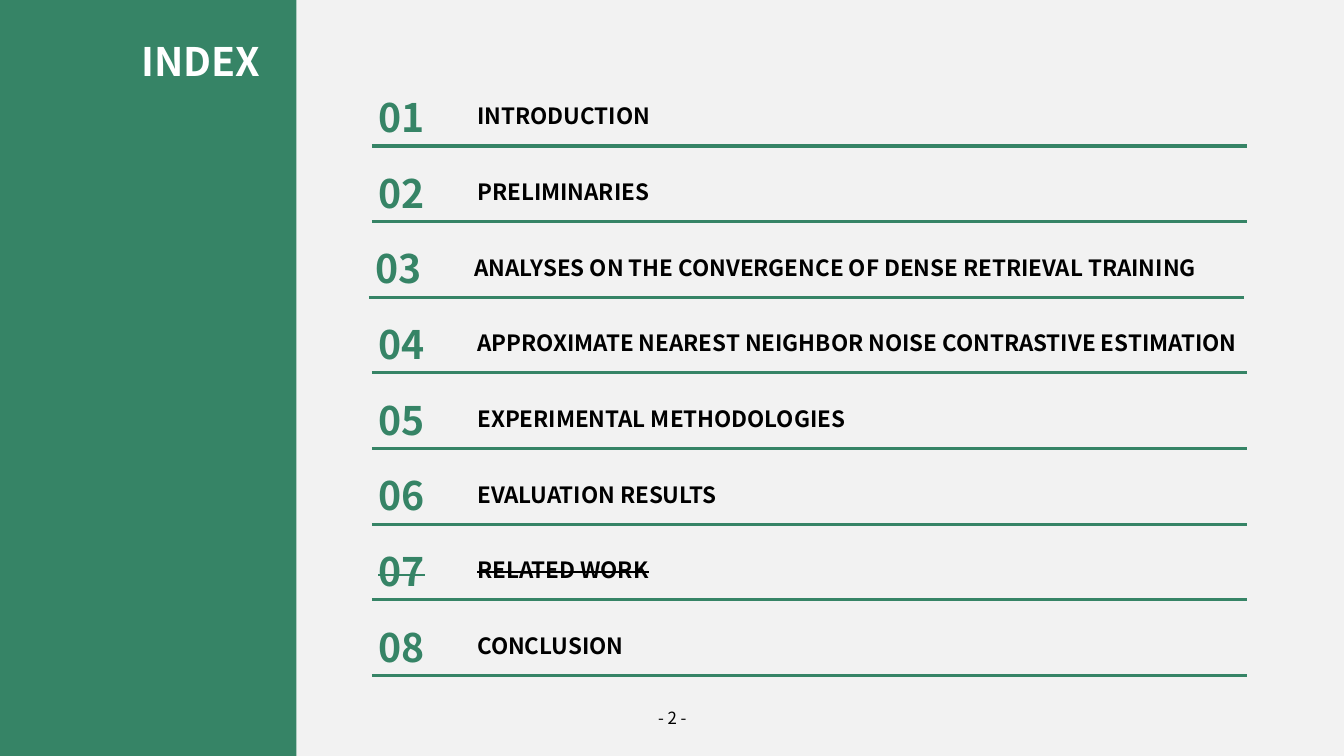
from dataclasses import dataclass

from lxml.etree import SubElement
from pptx import Presentation
from pptx.dml.color import RGBColor
from pptx.enum.shapes import MSO_CONNECTOR, MSO_SHAPE
from pptx.enum.text import MSO_ANCHOR, MSO_AUTO_SIZE, PP_ALIGN
from pptx.oxml.ns import qn
from pptx.shapes.base import BaseShape
from pptx.shapes.group import GroupShape
from pptx.slide import Slide
from pptx.util import Cm, Pt

COLORS = {"green": "368466", "background": "F2F2F2", "white": "FFFFFF", "black": "000000"}
FONT_NAME = "Noto Sans CJK KR"

# Geometry of the index, in centimetres
FIRST_RULE, LAST_RULE = 3.68, 17.02
RULE_LEFT, RULE_WIDTH = 9.37, 22.05


@dataclass
class IndexEntry:
    title: str
    title_width: float = 17.96
    shift: float = 0
    struck: bool = False


ENTRIES = [
    IndexEntry("INTRODUCTION"),
    IndexEntry("PRELIMINARIES"),
    IndexEntry("ANALYSES ON THE CONVERGENCE OF DENSE RETRIEVAL TRAINING", 19.71, shift=-0.07),
    IndexEntry("APPROXIMATE NEAREST NEIGHBOR NOISE CONTRASTIVE ESTIMATION", 20.93),
    IndexEntry("EXPERIMENTAL METHODOLOGIES"),
    IndexEntry("EVALUATION RESULTS"),
    IndexEntry("RELATED WORK", struck=True),
    IndexEntry("CONCLUSION"),
]


def color(name: str) -> RGBColor:
    return RGBColor.from_string(COLORS[name])


def write_text(shape: BaseShape, text: str, size: float, color_name: str,
               alignment: PP_ALIGN = PP_ALIGN.LEFT, bold: bool = True,
               struck: bool = False) -> None:
    frame = shape.text_frame
    frame.text = text
    frame.word_wrap = True
    frame.auto_size = MSO_AUTO_SIZE.SHAPE_TO_FIT_TEXT
    frame.vertical_anchor = MSO_ANCHOR.TOP
    paragraph = frame.paragraphs[0]
    paragraph.alignment = alignment
    paragraph.font.name = FONT_NAME
    paragraph.font.size = Pt(size)
    paragraph.font.bold = bold
    paragraph.font.color.rgb = color(color_name)
    if struck:
        paragraph.runs[0]._r.get_or_add_rPr().set("strike", "sngStrike")


def add_rule(group: GroupShape, left: float, top: float) -> None:
    rule = group.shapes.add_connector(
        MSO_CONNECTOR.STRAIGHT, Cm(left), Cm(top), Cm(left + RULE_WIDTH), Cm(top))
    rule.line.color.rgb = color("green")
    rule.line.width = Pt(2.25)
    SubElement(rule.element.spPr, qn("a:effectLst"))


def add_entry(slide: Slide, number: int, entry: IndexEntry, rule_top: float) -> None:
    group = slide.shapes.add_group_shape()
    left = RULE_LEFT + entry.shift
    number_box = group.shapes.add_textbox(
        Cm(left - 0.61), Cm(rule_top - 1.45), Cm(2.72), Cm(1.45))
    write_text(number_box, f"{number:02}", 28, "green", PP_ALIGN.CENTER, struck=entry.struck)
    add_rule(group, left, rule_top)
    title_box = group.shapes.add_textbox(
        Cm(left + 2.41), Cm(rule_top - 1.22), Cm(entry.title_width), Cm(0.94))
    write_text(title_box, entry.title, 16, "black", struck=entry.struck)


def main() -> None:
    presentation = Presentation()
    presentation.slide_width, presentation.slide_height = Cm(33.87), Cm(19.05)
    slide = presentation.slides.add_slide(presentation.slide_layouts[5])
    slide.background.fill.solid()
    slide.background.fill.fore_color.rgb = color("background")

    # Title on the green side panel
    title = slide.shapes.title
    title.left, title.top, title.width, title.height = Cm(1.7), Cm(0.81), Cm(5.11), Cm(1.45)
    write_text(title, "INDEX", 28, "white", PP_ALIGN.RIGHT)
    panel = slide.shapes.add_shape(
        MSO_SHAPE.RECTANGLE, 0, 0, Cm(7.47), presentation.slide_height)
    panel.shadow.inherit = False
    panel.fill.solid()
    panel.fill.fore_color.rgb = color("green")
    panel.line.fill.background()
    title.element.addprevious(panel.element)

    # Index entries, evenly spaced
    pitch = (LAST_RULE - FIRST_RULE) / (len(ENTRIES) - 1)
    for index, entry in enumerate(ENTRIES):
        add_entry(slide, index + 1, entry, FIRST_RULE + index * pitch)

    # Page number
    page_number = slide.shapes.add_textbox(Cm(12.93), Cm(17.7), Cm(8.03), Cm(0.76))
    write_text(page_number, "- 2 -", 12, "black", PP_ALIGN.CENTER, bold=False)

    presentation.save("out.pptx")


if __name__ == "__main__":
    main()
